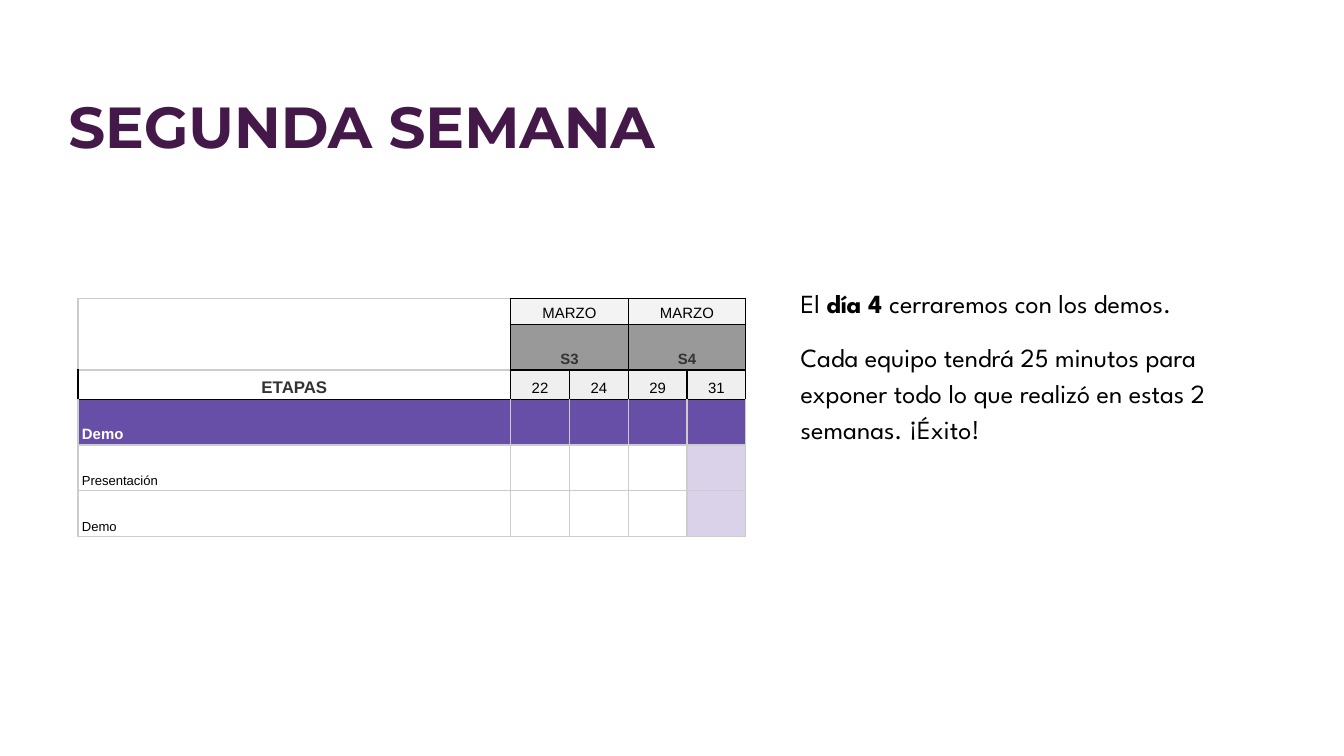
from lxml import etree
from pptx import Presentation, util as u
from pptx.dml.color import RGBColor
from pptx.enum import text
from pptx.oxml.ns import qn

# Content: text, style and (row span, column span) for each cell
WIDTH = 10
HEIGHT = WIDTH * 9 / 16
TITLE = "SEGUNDA SEMANA"
NOTES = [
    [("El ", False), ("día 4 ", True), ("cerraremos con los demos.", False)],
    [("Cada equipo tendrá 25 minutos para exponer todo lo que realizó "
      "en estas 2 semanas. ¡Éxito!", False)],
]
ROWS = [
    [("", "corner"), ("MARZO", "month"), ("", ""), ("MARZO", "month"), ("", "")],
    [("", ""), ("S3", "week"), ("", ""), ("S4", "week"), ("", "")],
    [("ETAPAS", "head")] + [(day, "day") for day in ("22", "24", "29", "31")],
    [("Demo", "stage")] + [("", "stage")] * 4,
    [("Presentación", "task")] + [("", "task")] * 3 + [("", "busy")],
    [("Demo", "task")] + [("", "task")] * 3 + [("", "busy")],
]
SPANS = {"corner": (2, 1), "month": (1, 2), "week": (1, 2)}
COLS = [3.22] + [1.75 / 4] * 4
HEIGHTS = [0.19, 0.34, 0.22, 0.34, 0.34, 0.34]

THEME = {
    "title": ("Montserrat", 31, "441848"),
    "notes": ("League Spartan", 14, "000000"),
    "table": "Arial",
}
GRID, RULE = "CCCCCC", "000000"
# Cell styles: fill, size, text colour, bold, centred, borders (L, R, T, B)
STYLES = {
    "corner": (None, 8, "000000", False, False, (GRID, RULE, GRID, GRID)),
    "month": ("F3F3F3", 8, "000000", False, True, (RULE,) * 4),
    "week": ("999999", 8, "333333", True, True, (RULE,) * 4),
    "head": ("FFFFFF", 9, "333333", True, True, (RULE, RULE, GRID, RULE)),
    "day": ("EFEFEF", 8, "000000", False, True, (RULE,) * 4),
    "stage": ("674EA7", 8, "FFFFFF", True, False, (GRID, GRID, RULE, GRID)),
    "task": (None, 7, "000000", False, False, (GRID,) * 4),
    "busy": ("D9D2E9", 7, "000000", False, False, (GRID,) * 4),
}


def add_run(p, words, font, size, color, bold):
    r = p.add_run()
    r.text = words
    r.font.name, r.font.size, r.font.bold = font, u.Pt(size), bold
    r.font.color.rgb = RGBColor.from_string(color)


def add_text(s, box, paragraphs, style, spacing, gap):
    tf = s.shapes.add_textbox(*map(u.Inches, box)).text_frame
    tf.word_wrap = True
    tf.margin_left = tf.margin_right = u.Inches(0.1)
    tf.margin_top = tf.margin_bottom = u.Inches(0.1)
    for i, runs in enumerate(paragraphs):
        p = tf.add_paragraph() if i else tf.paragraphs[0]
        p.line_spacing = spacing
        if i:
            p.space_before = p.space_after = u.Pt(gap)
        for words, bold in runs:
            add_run(p, words, *style, bold)


def set_borders(cell, colors):
    tcPr = cell._tc.get_or_add_tcPr()
    for side, color in zip("LRTB", colors):
        ln = etree.SubElement(tcPr, qn(f"a:ln{side}"), w=str(u.Pt(0.75)))
        fill = etree.SubElement(ln, qn("a:solidFill"))
        etree.SubElement(fill, qn("a:srgbClr"), val=color)


def fill_cell(cell, words, style):
    fill, size, color, bold, centred, borders = STYLES[style]
    set_borders(cell, borders)
    if fill:
        cell.fill.solid()
        cell.fill.fore_color.rgb = RGBColor.from_string(fill)
    else:
        cell.fill.background()
    cell.vertical_anchor = text.MSO_ANCHOR.BOTTOM
    cell.margin_left = cell.margin_right = u.Inches(0.03)
    cell.margin_top = cell.margin_bottom = u.Inches(0.02)
    if words:
        p = cell.text_frame.paragraphs[0]
        p.line_spacing = 1.15
        p.alignment = text.PP_ALIGN.CENTER if centred else text.PP_ALIGN.LEFT
        add_run(p, words, THEME["table"], size, color, bold)


def add_schedule(s):
    box = (0.58, 2.22, sum(COLS), sum(HEIGHTS))
    table = s.shapes.add_table(len(ROWS), len(COLS), *map(u.Inches, box)).table
    table.first_row = table.horz_banding = False
    for col, width in zip(table.columns, COLS):
        col.width = u.Inches(width)
    for row, height in zip(table.rows, HEIGHTS):
        row.height = u.Inches(height)
    for i, row in enumerate(ROWS):
        for j, (words, style) in enumerate(row):
            if not style:
                continue
            cell = table.cell(i, j)
            if style in SPANS:
                down, across = SPANS[style]
                cell.merge(table.cell(i + down - 1, j + across - 1))
            fill_cell(cell, words, style)


def main():
    prs = Presentation()
    prs.slide_width, prs.slide_height = u.Inches(WIDTH), u.Inches(HEIGHT)
    s = prs.slides.add_slide(prs.slide_layouts[6])
    # Title
    add_text(s, (0.41, 0.42, 9.38, 0.7), [[(TITLE, True)]], THEME["title"], 1.3, 0)
    # Closing notes
    add_text(s, (5.86, 2, 3.67, 1.39), NOTES, THEME["notes"], 1.15, 10)
    # Schedule of the second week
    add_schedule(s)
    prs.save("out.pptx")


if __name__ == "__main__":
    main()
